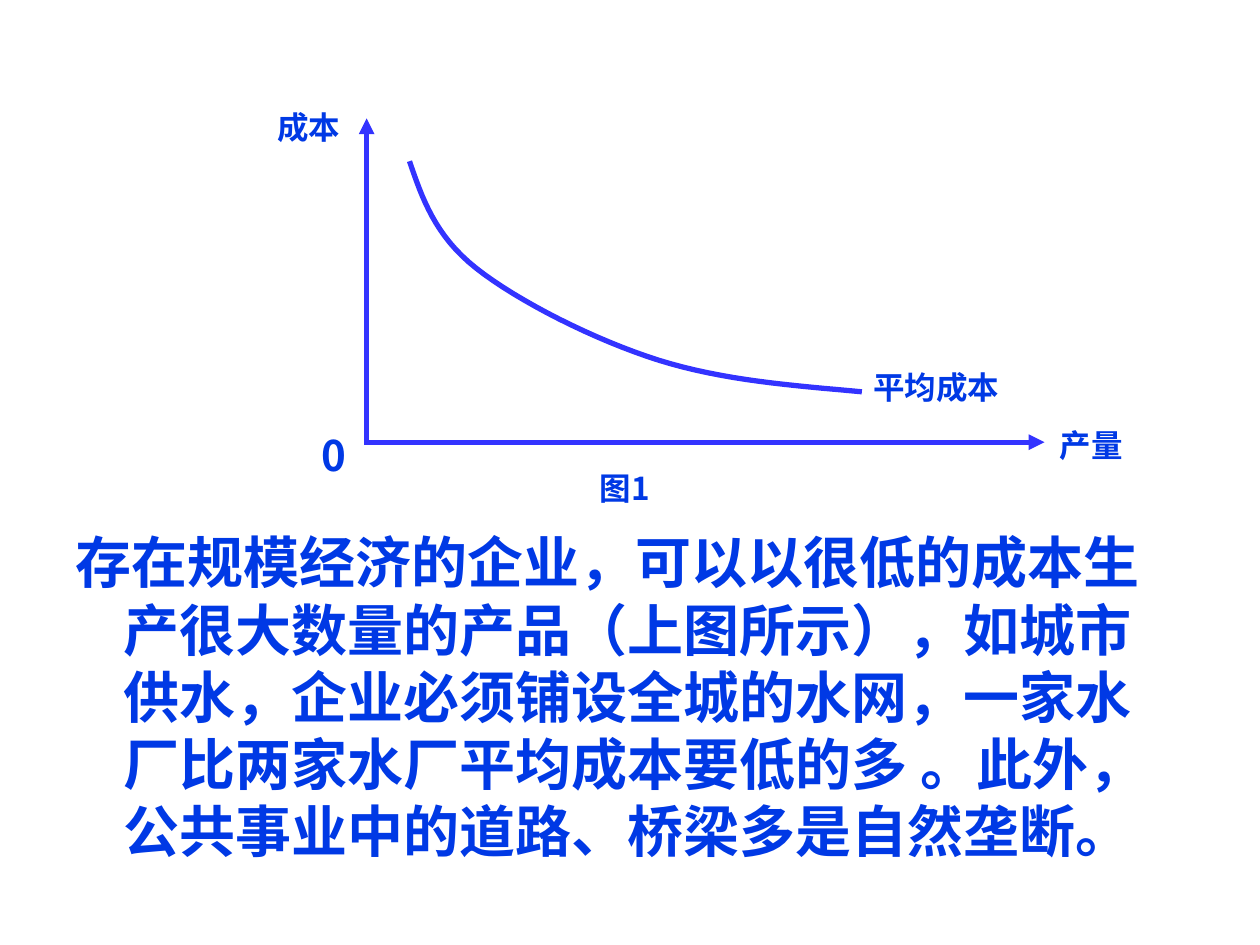
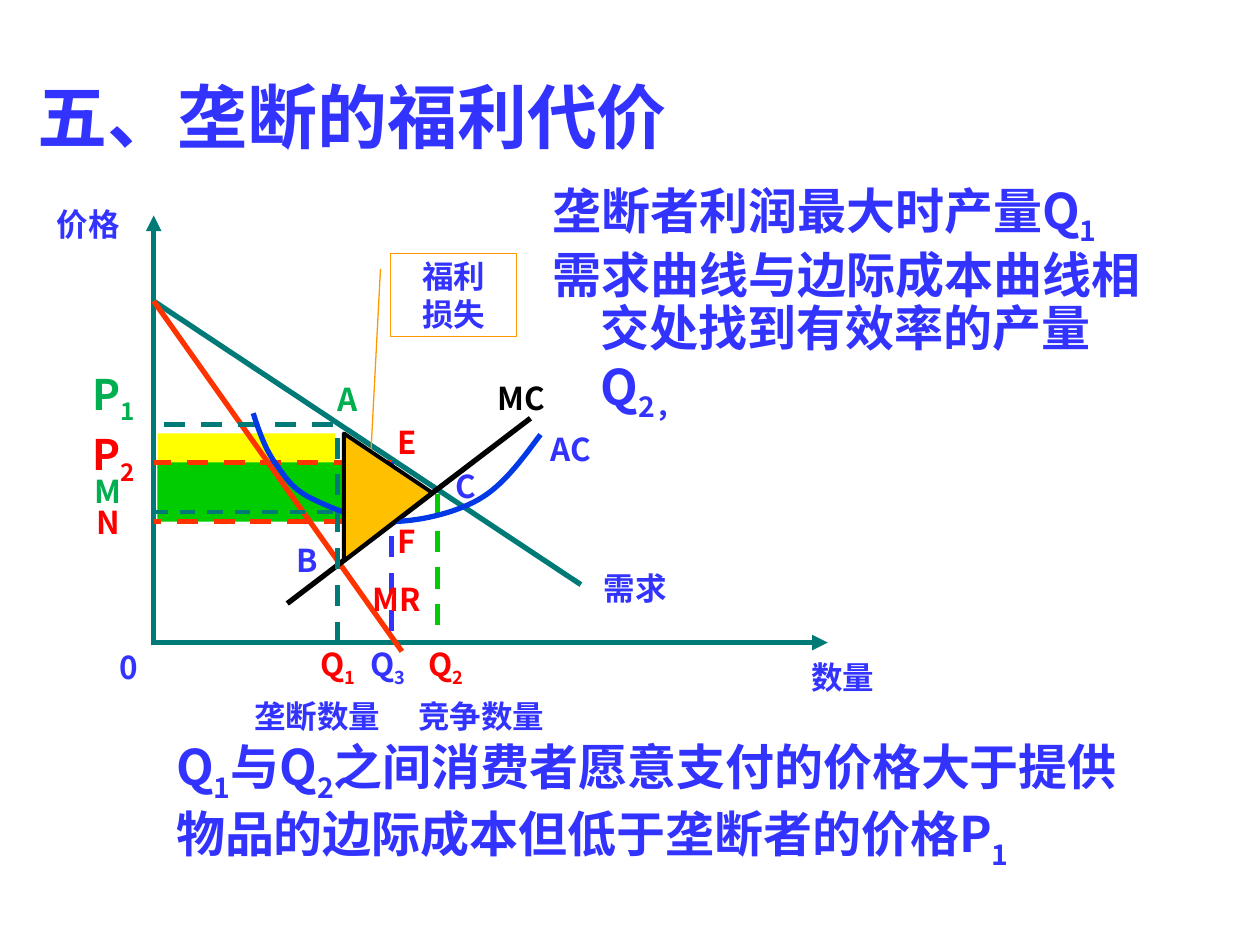
from dataclasses import dataclass

from lxml import etree
from pptx import Presentation
from pptx.dml.color import RGBColor
from pptx.enum.dml import MSO_LINE
from pptx.enum.shapes import MSO_CONNECTOR, MSO_SHAPE
from pptx.enum.text import MSO_ANCHOR, PP_ALIGN
from pptx.oxml.ns import qn
from pptx.util import Inches, Pt

DASH = MSO_LINE.DASH
STRAIGHT = MSO_CONNECTOR.STRAIGHT
RECT, CALLOUT = MSO_SHAPE.RECTANGLE, MSO_SHAPE.LINE_CALLOUT_1
TOP, MIDDLE = MSO_ANCHOR.TOP, MSO_ANCHOR.MIDDLE
LEFT, CENTER = PP_ALIGN.LEFT, PP_ALIGN.CENTER


@dataclass(frozen=True)
class Theme:
    font: str = "Noto Sans CJK SC"
    blue: str = "3333FF"
    deep: str = "0039E5"
    teal: str = "007A77"
    red: str = "FF0000"
    coral: str = "FF3300"
    green: str = "00B050"
    lime: str = "00CC00"
    yellow: str = "FFFF00"
    gold: str = "FFC000"
    orange: str = "FF9900"
    black: str = "000000"
    title: int = 40
    body: int = 32
    note: int = 28
    mark: int = 24
    label: int = 18
    thick: float = 3
    mid: float = 2.25
    thin: float = 0.75


T = Theme()


# Text
def style(run, size, color, sub=False):
    font = run.font
    font.name, font.size, font.bold = T.font, Pt(size), True
    font.color.rgb = RGBColor.from_string(color)
    props = run._r.get_or_add_rPr()
    etree.SubElement(props, qn("a:ea")).set("typeface", T.font)
    if sub:
        props.set("baseline", "-25000")


def write(frame, lines, size, color, align=LEFT):
    """Fill a frame; the character after each underscore is a subscript."""
    frame.text = "\n".join(line.split("_")[0] for line in lines)
    for para, line in zip(frame.paragraphs, lines):
        para.alignment = align
        for run in para.runs:
            style(run, size, color)
        for part in line.split("_")[1:]:
            for text, sub in ((part[0], True), (part[1:], False)):
                if text:
                    run = para.add_run()
                    run.text = text
                    style(run, size, color, sub)


def add_text(slide, box, lines, size, color, align=LEFT, anchor=MIDDLE):
    frame = slide.shapes.add_textbox(*map(Inches, box)).text_frame
    frame.word_wrap, frame.vertical_anchor = True, anchor
    write(frame, lines, size, color, align)
    return frame


def add_body(slide, box, lines, size, color, spacing=None):
    frame = add_text(slide, box, lines, size, color, anchor=TOP)
    for para in frame.paragraphs:
        para.space_before = Pt(size * 0.2)
        if spacing:
            para.line_spacing = spacing
        props = para._p.get_or_add_pPr()
        props.set("marL", str(Inches(0.38)))
        props.set("indent", str(Inches(-0.38)))


# Drawing
def paint(shape, fill=None, line=None, width=T.thick):
    shape.shadow.inherit = False
    if fill:
        shape.fill.solid()
        shape.fill.fore_color.rgb = RGBColor.from_string(fill)
    else:
        shape.fill.background()
    if line:
        shape.line.color.rgb = RGBColor.from_string(line)
        shape.line.width = Pt(width)
    else:
        shape.line.fill.background()


def bend(nodes, steps=16):
    """Sample a chain of cubic Bezier segments."""
    points = [nodes[0]]
    for i in range(0, len(nodes) - 1, 3):
        for k in range(1, steps + 1):
            t = k / steps
            u = 1 - t
            mix = (u ** 3, 3 * u * u * t, 3 * u * t * t, t ** 3)
            points.append(tuple(sum(m * n[axis] for m, n in zip(mix, nodes[i:i + 4]))
                                for axis in (0, 1)))
    return points


class Graph:
    """Places parts in inches right of and above the zero point of the axes."""

    def __init__(self, slide, left, base):
        self.slide, self.left, self.base = slide, left, base

    def at(self, x, y):
        return Inches(self.left + x), Inches(self.base - y)

    def line(self, start, end, color, width=T.thick, dash=False, arrow=False):
        link = self.slide.shapes.add_connector(STRAIGHT, *self.at(*start), *self.at(*end))
        link.line.color.rgb = RGBColor.from_string(color)
        link.line.width = Pt(width)
        if dash:
            link.line.dash_style = DASH
        if arrow:
            tail = etree.SubElement(link.line._get_or_add_ln(), qn("a:tailEnd"))
            tail.set("type", "triangle")
        etree.SubElement(link._element.spPr, qn("a:effectLst"))

    def axes(self, right, top, color):
        self.line((0, 0), (right, 0), color, arrow=True)
        self.line((0, -0.02), (0, top), color, arrow=True)

    def label(self, text, x, y, color, size=T.label):
        """Centre one line on a point, in a box as wide as its text needs."""
        wide, high = len(text) * size / 72 + 0.1, 0.4
        box = (self.left + x - wide / 2, self.base - y - high / 2, wide, high)
        frame = add_text(self.slide, box, [text], size, color, CENTER)
        frame.margin_left = frame.margin_right = 0

    def shape(self, kind, x, y, wide, high, **look):
        shape = self.slide.shapes.add_shape(kind, *self.at(x, y), Inches(wide), Inches(high))
        paint(shape, **look)
        return shape

    def outline(self, points, close=False, **look):
        spots = [self.at(*p) for p in points]
        pen = self.slide.shapes.build_freeform(*spots[0])
        pen.add_line_segments(spots[1:], close=close)
        paint(pen.convert_to_shape(), **look)


def draw_cost(slide, left, base):
    graph = Graph(slide, left, base)
    graph.axes(5.38, 2.57, T.blue)
    graph.outline(bend([(0.34, 2.23), (0.44, 1.94), (0.54, 1.64), (0.87, 1.38),
                        (1.2, 1.12), (1.81, 0.81), (2.32, 0.65),
                        (2.83, 0.49), (3.38, 0.45), (3.93, 0.4)]), line=T.blue)
    graph.label("0", -0.26, -0.1, T.deep, T.mark)
    for text, x, y in (("成本", -0.46, 2.5), ("产量", 5.75, -0.02),
                       ("平均成本", 4.52, 0.44), ("图1", 2.05, -0.36)):
        graph.label(text, x, y, T.deep)


def draw_loss(slide, left, base):
    graph = Graph(slide, left, base)
    p1, p2, m, n = 1.73, 1.43, 1.04, 0.96
    q1, q3, q2 = 1.46, 1.89, 2.25
    start = (0, 2.71)

    # Profit areas
    graph.shape(RECT, 0.03, 1.66, 1.41, 0.55, fill=T.yellow)
    graph.shape(RECT, 0.03, p2, 1.8, p2 - n, fill=T.lime)

    # Axes, demand, marginal revenue and marginal cost
    graph.axes(5.35, 3.39, T.teal)
    graph.line(start, (3.39, 0.46), T.teal)
    graph.line(start, (1.97, -0.07), T.coral)
    graph.line((1.06, 0.31), (2.99, 1.78), T.black)

    # Price and quantity guides
    for y, right, color, width in ((p1, 1.42, T.teal, T.thick), (p2, q3, T.coral, T.thick),
                                   (m, 1.42, T.teal, T.mid), (n, 1.81, T.coral, T.thick)):
        graph.line((right, y), (0, y), color, width, dash=True)
    for x, low, high, color in ((q2, 1.18, 0.02, T.lime), (q3, p2, 0.01, T.blue),
                                (q1, 0, 1.75, T.teal)):
        graph.line((x, low), (x, high), color, dash=True)

    # Average cost
    graph.outline(bend([(0.79, 1.82), (0.84, 1.66), (0.9, 1.5), (0.99, 1.39),
                        (1.07, 1.27), (1.13, 1.2), (1.28, 1.13),
                        (1.43, 1.06), (1.66, 0.96), (1.88, 0.96),
                        (2.09, 0.96), (2.37, 1.02), (2.57, 1.13),
                        (2.77, 1.24), (2.92, 1.45), (3.07, 1.65)]), line=T.deep)

    # Welfare loss
    note = graph.shape(CALLOUT, 1.88, 3.09, 1, 0.66, line=T.orange, width=T.thin)
    for i, value in enumerate((0.19, -0.08, 2.8, -0.17)):
        note.adjustments[i] = value
    note.text_frame.vertical_anchor = MIDDLE
    write(note.text_frame, ["福利", "损失"], T.label, T.blue, CENTER)
    graph.outline([(1.51, 1.66), (1.51, 0.65), (2.21, 1.19)], close=True,
                  fill=T.gold, line=T.black, width=T.mid)

    # Labels
    graph.label("P_1", -0.32, 1.95, T.green, T.mark)
    graph.label("P_2", -0.32, 1.47, T.red, T.mark)
    for color, marks in (
        (T.blue, (("数量", 5.47, -0.27), ("需求", 3.82, 0.43), ("垄断数量", 1.3, -0.58),
                  ("竞争数量", 2.6, -0.58), ("0", -0.2, -0.19), ("价格", -0.52, 3.32),
                  ("B", 1.22, 0.66), ("C", 2.48, 1.24), ("AC", 3.31, 1.54),
                  ("Q_3", 1.86, -0.19))),
        (T.red, (("MR", 1.93, 0.35), ("Q_1", 1.46, -0.19), ("Q_2", 2.32, -0.19),
                 ("E", 2.01, 1.59), ("F", 2.01, 0.81), ("N", -0.36, 0.96))),
        (T.green, (("A", 1.54, 1.93), ("M", -0.36, 1.2))),
        (T.black, (("MC", 2.92, 1.94),)),
    ):
        for text, x, y in marks:
            graph.label(text, x, y, color)


# Slides
def cost_slide(slide):
    add_body(slide, (0.5, 4.14, 9, 3.07),
             ["存在规模经济的企业，可以以很低的成本生产很大数量的产品（上图所示），"
              "如城市供水，企业必须铺设全城的水网，一家水厂比两家水厂平均成本要低的多 。"
              "此外，公共事业中的道路、桥梁多是自然垄断。"], T.body, T.deep)
    draw_cost(slide, 2.91, 3.51)


def loss_slide(slide):
    add_text(slide, (0.2, 0.52, 6.37, 0.8), ["五、垄断的福利代价"], T.title, T.blue)
    add_body(slide, (4.29, 1.39, 5.06, 1.42),
             ["垄断者利润最大时产量Q_1",
              "需求曲线与边际成本曲线相交处找到有效率的产量Q_2_，"],
             T.note, T.blue, spacing=0.9)
    draw_loss(slide, 1.22, 5.1)
    add_text(slide, (1.3, 5.78, 8.2, 1.2),
             ["Q_1与Q_2之间消费者愿意支付的价格大于提供",
              "物品的边际成本但低于垄断者的价格P_1"], T.note, T.blue)


def main():
    deck = Presentation()
    deck.slide_width, deck.slide_height = Inches(10), Inches(7.5)
    for build in (cost_slide, loss_slide):
        build(deck.slides.add_slide(deck.slide_layouts[6]))
    deck.save("out.pptx")


if __name__ == "__main__":
    main()
